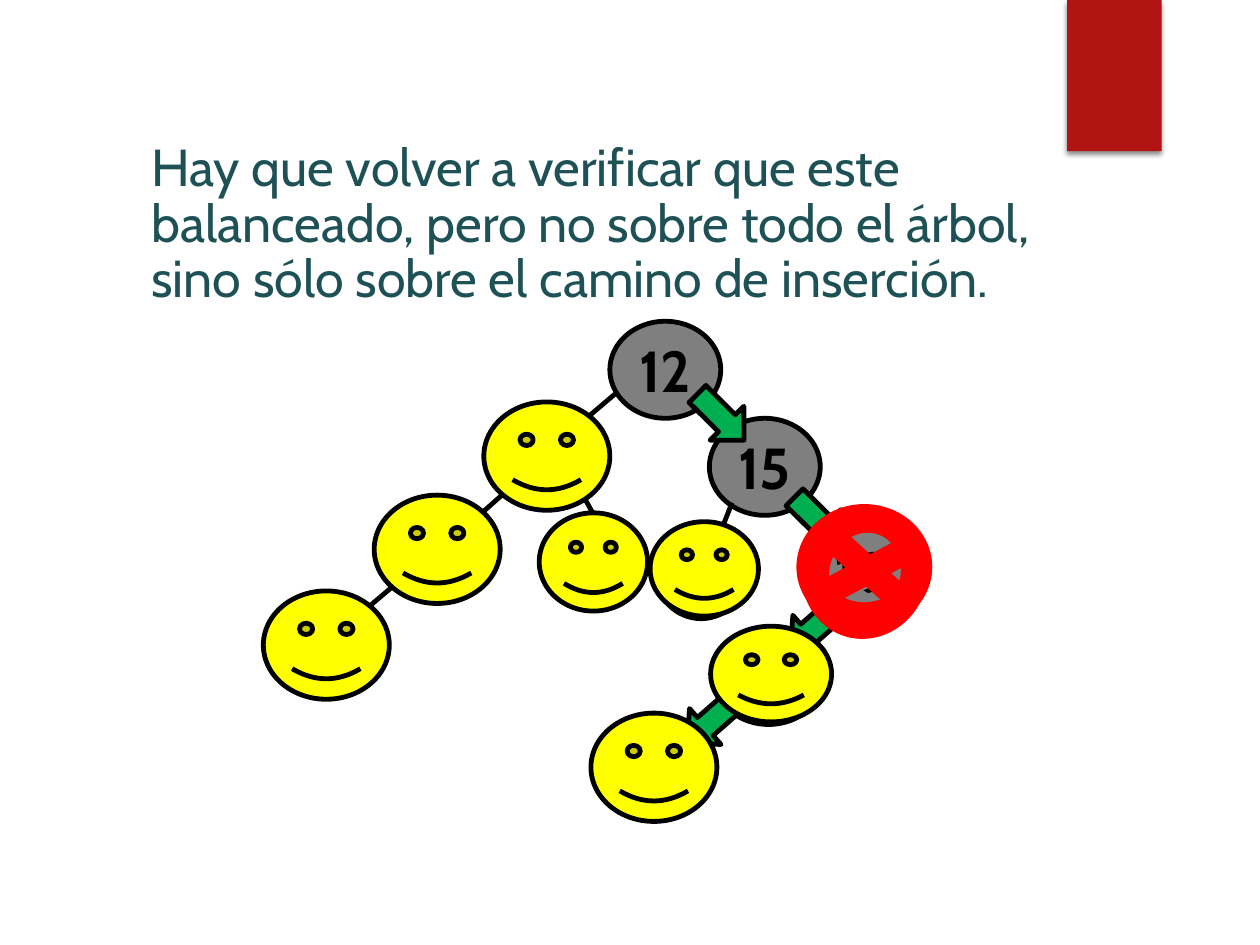
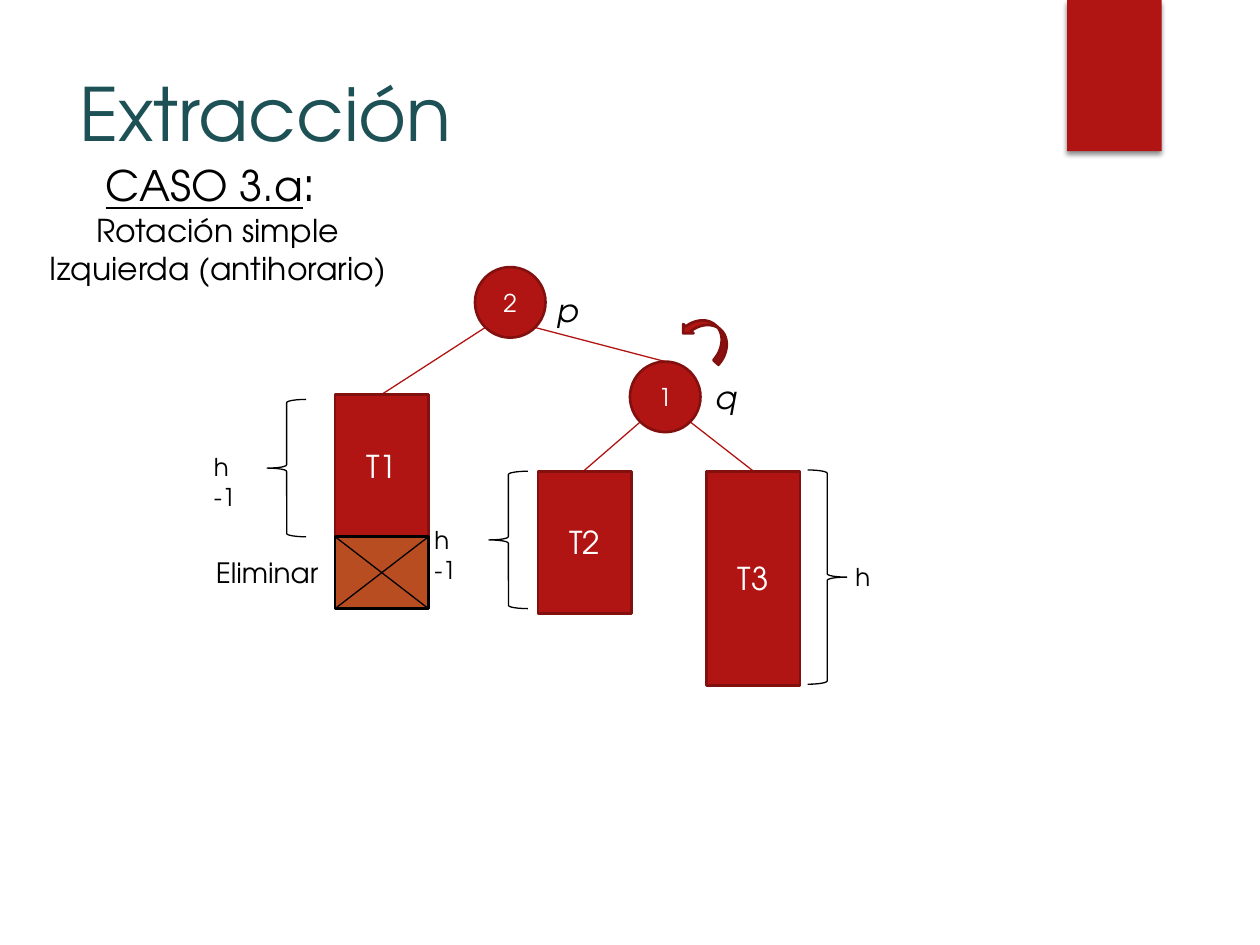
"""Build two slides on removing nodes from an AVL tree."""
from dataclasses import dataclass
from typing import Any, Optional

from lxml.etree import SubElement
from pptx import Presentation
from pptx.dml.color import RGBColor
from pptx.enum.shapes import MSO_CONNECTOR, MSO_SHAPE
from pptx.enum.text import MSO_ANCHOR, PP_ALIGN
from pptx.oxml.ns import qn
from pptx.util import Inches, Pt

COLORS = {
    "red": "B01513", "dark red": "82100E", "teal": "1E5155", "black": "000000",
    "white": "FFFFFF", "gray": "7F7F7F", "green": "00B050", "yellow": "FFFF00",
    "alert": "FF0000", "orange": "B74D21",
}
CABIN = "Cabin"
ADVENTOR = "TeX Gyre Adventor"
NODE_FONT = {"name": CABIN, "size": Pt(33), "bold": True}
SUBTREE_FONT = {"name": ADVENTOR, "size": Pt(18)}
BALANCE_FONT = {"name": ADVENTOR, "size": Pt(14)}
POINTER_FONT = {"name": ADVENTOR, "size": Pt(18), "italic": True}
NARROW_INSETS = (0.07, 0.04)
WIDE_INSETS = (0.1, 0.05)
NODE_SIZE = (0.88, 0.77)
SMALL_NODE_SIZE = (0.73, 0.75)
FACE_SIZE = (1, 0.86)
BALANCE_SIZE = (0.56, 0.56)
SUBTREE_WIDTH = 0.74
SHORT_HEIGHT, TALL_HEIGHT = 1.13, 1.7


@dataclass(frozen=True)
class Figure:
    """A preset shape with optional centred text."""
    kind: MSO_SHAPE
    left: float
    top: float
    size: tuple[float, float]
    fill: Optional[str] = None
    line: Optional[str] = "black"
    line_width: float = 2.75
    rotation: float = 0
    text: str = ""
    font: Optional[dict[str, Any]] = None
    text_color: str = "black"


@dataclass(frozen=True)
class Run:
    """A stretch of text in one format."""
    text: str
    font: dict[str, Any]
    color: str = "black"


@dataclass(frozen=True)
class Label:
    """A text box whose paragraphs are tuples of runs."""
    left: float
    top: float
    width: float
    height: float
    paragraphs: tuple[tuple[Run, ...], ...]
    alignment: PP_ALIGN = PP_ALIGN.LEFT
    wrap: bool = True
    insets: tuple[float, float] = WIDE_INSETS
    line_spacing: float = 1.0


@dataclass(frozen=True)
class Edge:
    """A straight line between two points."""
    start: tuple[float, float]
    end: tuple[float, float]
    color: str = "black"
    width: float = 2.75


def rgb(color: str) -> RGBColor:
    """Look up a named colour."""
    return RGBColor.from_string(COLORS[color])


def add_run(paragraph, run: Run) -> None:
    """Append a formatted run."""
    text_run = paragraph.add_run()
    text_run.text = run.text
    for attribute, value in run.font.items():
        setattr(text_run.font, attribute, value)
    text_run.font.color.rgb = rgb(run.color)


def draw_figure(shapes, figure: Figure):
    """Draw a preset shape."""
    width, height = figure.size
    shape = shapes.add_shape(figure.kind, Inches(figure.left), Inches(figure.top),
                             Inches(width), Inches(height))
    shape.shadow.inherit = False
    shape.rotation = figure.rotation
    if figure.fill:
        shape.fill.solid()
        shape.fill.fore_color.rgb = rgb(figure.fill)
    else:
        shape.fill.background()
    if figure.line:
        shape.line.color.rgb = rgb(figure.line)
        shape.line.width = Pt(figure.line_width)
    else:
        shape.line.fill.background()
    if figure.text:
        frame = shape.text_frame
        frame.word_wrap = False
        frame.vertical_anchor = MSO_ANCHOR.MIDDLE
        paragraph = frame.paragraphs[0]
        paragraph.alignment = PP_ALIGN.CENTER
        add_run(paragraph, Run(figure.text, figure.font, figure.text_color))
    return shape


def draw_label(shapes, label: Label) -> None:
    """Draw a text box."""
    box = shapes.add_textbox(Inches(label.left), Inches(label.top),
                             Inches(label.width), Inches(label.height))
    frame = box.text_frame
    side, end = (Inches(inset) for inset in label.insets)
    settings = {"word_wrap": label.wrap, "vertical_anchor": MSO_ANCHOR.TOP,
                "margin_left": side, "margin_right": side,
                "margin_top": end, "margin_bottom": end}
    for attribute, value in settings.items():
        setattr(frame, attribute, value)
    for index, runs in enumerate(label.paragraphs):
        paragraph = frame.add_paragraph() if index else frame.paragraphs[0]
        paragraph.alignment = label.alignment
        paragraph.line_spacing = label.line_spacing
        for run in runs:
            add_run(paragraph, run)


def draw_edge(shapes, edge: Edge) -> None:
    """Draw a straight connector."""
    points = (Inches(value) for value in edge.start + edge.end)
    connector = shapes.add_connector(MSO_CONNECTOR.STRAIGHT, *points)
    connector.line.color.rgb = rgb(edge.color)
    connector.line.width = Pt(edge.width)
    SubElement(connector._element.spPr, qn("a:effectLst"))


def draw_all(shapes, elements: list) -> None:
    """Draw elements from back to front."""
    draw = {Figure: draw_figure, Label: draw_label, Edge: draw_edge}
    for element in elements:
        draw[type(element)](shapes, element)


def add_slide(presentation):
    """Add a blank slide with the red band and its shadow."""
    slide = presentation.slides.add_slide(presentation.slide_layouts[6])
    band = draw_figure(slide.shapes, Figure(MSO_SHAPE.RECTANGLE, 8.47, 0, (0.75, 1.2),
                                            "red", None))
    effects = band._element.spPr.find(qn("a:effectLst"))
    shadow = SubElement(effects, qn("a:outerShdw"), blurRad=str(Pt(3)), dist=str(Pt(2)),
                        dir="5400000", rotWithShape="0")
    color = SubElement(shadow, qn("a:srgbClr"), val=COLORS["black"])
    SubElement(color, qn("a:alpha"), val="45000")
    return slide


def title(text: str, left: float, top: float, width: float, height: float,
          font: str, size: float, **layout) -> Label:
    """Describe a slide title."""
    run = Run(text, {"name": font, "size": Pt(size)}, "teal")
    return Label(left, top, width, height, ((run,),), **layout)


def tree_node(left: float, top: float, text: str = "", size=NODE_SIZE) -> Figure:
    """Describe a gray node."""
    return Figure(MSO_SHAPE.OVAL, left, top, size, "gray", text=text, font=NODE_FONT)


def balance_node(text: str, left: float, top: float) -> Figure:
    """Describe a red node with its balance factor."""
    return Figure(MSO_SHAPE.OVAL, left, top, BALANCE_SIZE, "red", "dark red", 1.5,
                  text=text, font=BALANCE_FONT, text_color="white")


def subtree(text: str, left: float, top: float, height: float) -> Figure:
    """Describe a red subtree block."""
    return Figure(MSO_SHAPE.RECTANGLE, left, top, (SUBTREE_WIDTH, height), "red",
                  "dark red", 1.5, text=text, font=SUBTREE_FONT, text_color="white")


def brace(left: float, top: float, height: float, rotation: float = 0) -> Figure:
    """Describe a height brace."""
    return Figure(MSO_SHAPE.LEFT_BRACE, left, top, (0.31, height), line_width=0.75,
                  rotation=rotation)


def height_label(text: str, left: float, top: float, width: float) -> Label:
    """Describe the label of a brace."""
    return Label(left, top, width, 0.34, ((Run(text, BALANCE_FONT),),))


def pointer(text: str, left: float, top: float) -> Label:
    """Describe the name of a node pointer."""
    return Label(left, top, 0.32, 0.4, ((Run(text, POINTER_FONT),),),
                 PP_ALIGN.CENTER, wrap=False)


def build_check_slide(presentation) -> None:
    """Build the slide that checks the insertion path."""
    nodes = [
        tree_node(4.84, 2.55, "12"), tree_node(5.66, 4.98), tree_node(5.63, 3.32, "15"),
        tree_node(6.4, 4.14, "19"), tree_node(5.2, 4.16, size=SMALL_NODE_SIZE),
    ]
    edges = [Edge(start, end) for start, end in (
        ((4.89, 3.12), (4.63, 3.34)), ((4.04, 3.88), (3.78, 4.11)),
        ((3.17, 4.61), (2.91, 4.83)), ((4.61, 3.9), (4.72, 4.1)),
        ((5.81, 3.99), (5.72, 4.22)))]
    path_arrows = [
        Figure(MSO_SHAPE.DOWN_ARROW, left, top, (0.38, 0.52), "green", rotation=rotation)
        for left, top, rotation in ((5.53, 3.05, 314.8), (6.3, 3.87, 314.8),
                                    (6.28, 4.72, 48.8), (5.46, 5.46, 48.8))]
    faces = [
        Figure(MSO_SHAPE.SMILEY_FACE, left, top, size, "yellow")
        for left, top, size in (
            (2.09, 4.69, FACE_SIZE), (2.97, 3.93, FACE_SIZE), (3.84, 3.19, FACE_SIZE),
            (4.28, 4.07, (0.86, 0.78)), (5.16, 4.14, (0.86, 0.75)),
            (4.69, 5.66, FACE_SIZE), (5.64, 4.97, (0.96, 0.76)))]
    unbalanced_marks = [
        Figure(MSO_SHAPE.NO_SYMBOL, left, top, (width, 0.96), "alert", "alert",
               rotation=rotation)
        for left, top, width, rotation in ((6.34, 4.02, 1.04, 0), (6.35, 4.06, 1.03, 109.5))]
    heading = title("Hay que volver a verificar que este balanceado, pero no sobre todo "
                    "el árbol, sino sólo sobre el camino de inserción.",
                    1.13, 1.09, 7.88, 1.22, CABIN, 29.7,
                    insets=NARROW_INSETS, line_spacing=0.89)
    draw_all(add_slide(presentation).shapes,
             [heading, *nodes, *edges, *path_arrows, *faces, *unbalanced_marks])


def build_rotation_slide(presentation) -> None:
    """Build the slide on the simple left rotation."""
    shapes = add_slide(presentation).shapes
    case_name = {"name": ADVENTOR, "size": Pt(24), "underline": True}
    case_colon = {"name": ADVENTOR, "size": Pt(28)}
    case = Label(-0.77, 1.16, 5, 1.18, (
        (Run("CASO 3.a", case_name), Run(": ", case_colon)),
        (Run("Rotación simple", SUBTREE_FONT),),
        (Run("Izquierda (antihorario)", SUBTREE_FONT),)), PP_ALIGN.CENTER)
    edges = [Edge(start, end, "red", 0.75) for start, end in (
        ((3.85, 2.6), (3.03, 3.13)), ((4.25, 2.6), (5.28, 2.87)),
        ((5.08, 3.35), (4.63, 3.74)), ((5.48, 3.35), (5.98, 3.74)))]
    draw_all(shapes, [
        title("Extracción", 0.53, 0.49, 7.72, 1.53, ADVENTOR, 42),
        case, *edges, balance_node("2", 3.77, 2.12),
        subtree("T1", 2.66, 3.13, SHORT_HEIGHT), pointer("p", 4.33, 2.26)])

    left, top, right, bottom = 2.66, 4.26, 3.4, 4.83
    draw_all(shapes.add_group_shape().shapes, [
        Figure(MSO_SHAPE.RECTANGLE, left, top, (right - left, bottom - top), "orange",
               line_width=1.5),
        Edge((left, top), (right, bottom), width=0.75),
        Edge((right, top), (left, bottom), width=0.75)])

    removal = Run("Eliminar", {"name": ADVENTOR, "size": Pt(16)})
    draw_all(shapes, [
        subtree("T3", 5.61, 3.74, TALL_HEIGHT),
        balance_node("1", 5, 2.87), pointer("q", 5.58, 2.95),
        Figure(MSO_SHAPE.CURVED_UP_ARROW, 5.4, 2.56, (0.43, 0.22), "red", "dark red", 1.5,
               rotation=221.8),
        brace(2.12, 3.17, 1.09), height_label("h -1", 1.6, 3.54, 0.54),
        brace(6.41, 3.73, 1.7, 180), height_label("h", 6.69, 4.41, 0.27),
        subtree("T2", 4.27, 3.74, SHORT_HEIGHT),
        brace(3.88, 3.74, 1.09), height_label("h -1", 3.35, 4.12, 0.54),
        Label(0.25, 4.36, 3.74, 0.37, ((removal,),), PP_ALIGN.CENTER)])


def main() -> None:
    """Build and save the presentation."""
    presentation = Presentation()
    presentation.slide_width, presentation.slide_height = Inches(10), Inches(7.5)
    build_check_slide(presentation)
    build_rotation_slide(presentation)
    presentation.save("out.pptx")


if __name__ == "__main__":
    main()
